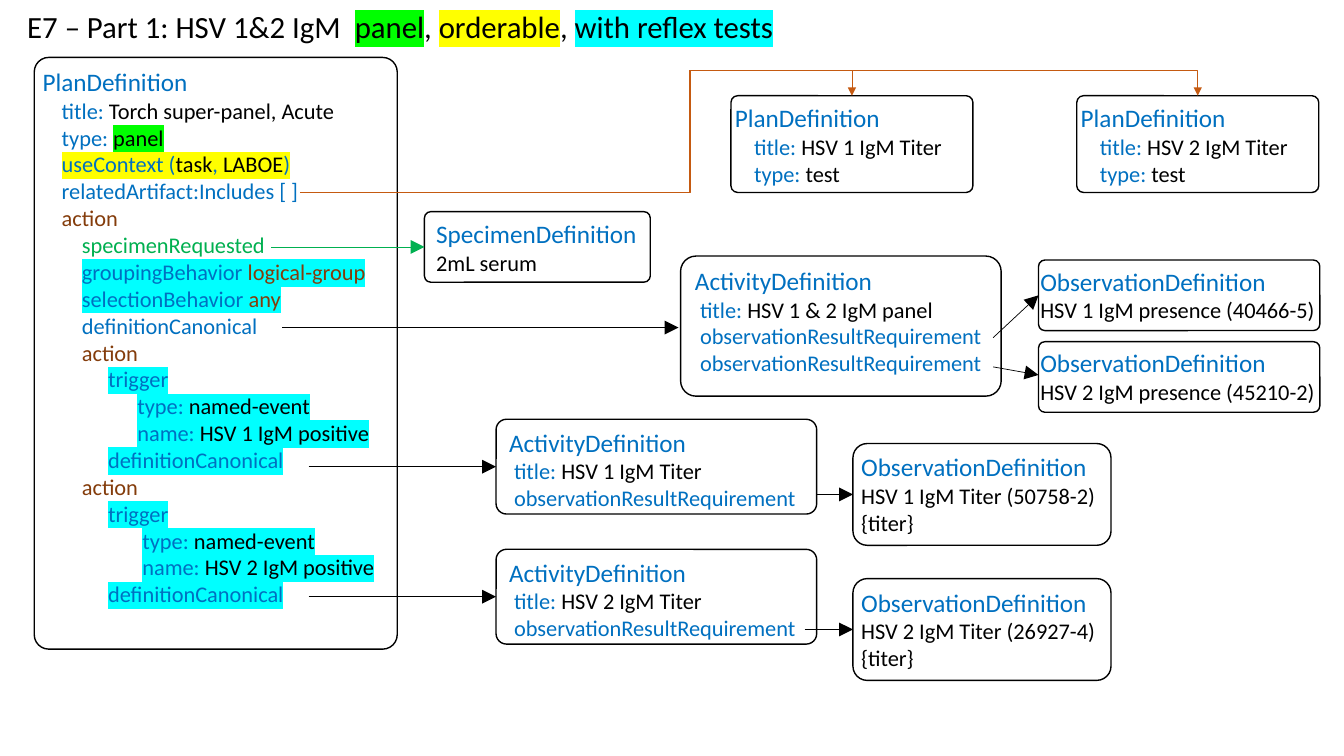
from dataclasses import dataclass
from typing import NamedTuple

from lxml.etree import SubElement
from pptx import Presentation
from pptx.dml.color import RGBColor
from pptx.enum.shapes import MSO_CONNECTOR, MSO_SHAPE
from pptx.enum.text import MSO_ANCHOR, MSO_AUTO_SIZE, PP_ALIGN
from pptx.oxml.ns import qn
from pptx.util import Inches, Pt


@dataclass(frozen=True)
class Theme:
    """Colours, type sizes and line widths of the slide."""
    font: str = "Calibri"
    title: int = 22
    heading: int = 18
    body: int = 16
    ink: str = "000000"
    key: str = "0070C0"
    action: str = "843C0B"
    specimen: str = "00B050"
    include: str = "C55A11"
    panel: str = "00FF00"
    order: str = "FFFF00"
    reflex: str = "00FFFF"
    outline: float = 1
    arrow: float = 0.5


class Box(NamedTuple):
    """A place on the grid, in columns and rows."""
    x: float
    y: float
    w: float
    h: float

    def inner(self, dx, dy, w, h):
        """Return a box placed relative to this one."""
        return Box(self.x + dx, self.y + dy, w, h)


T = Theme()
COLS, ROWS = 133.3, 75


def cells(n):
    """Convert grid cells to a length."""
    return Inches(n / 10)


def add_run(p, text, size=T.body, color=T.ink, mark=None):
    """Add formatted text, with an optional highlight."""
    r = p.add_run()
    r.text = text
    r.font.size = Pt(size)
    r.font.color.rgb = RGBColor.from_string(color)
    r.font.name = T.font
    if mark:
        rPr = r._r.get_or_add_rPr()
        highlight = SubElement(rPr, qn("a:highlight"))
        SubElement(highlight, qn("a:srgbClr"), val=mark)
        rPr.find(qn("a:solidFill")).addnext(highlight)


def field(name, value, indent=0.0, mark=None):
    """Return an indented line with a key and its value."""
    return indent, (name, T.key, mark), (value, T.ink, mark)


def line(text, color=T.key, indent=0.0, mark=None):
    """Return an indented line of one colour."""
    return indent, (text, color, mark)


def add_card(s, box, heading, rows, adj, side=1.0, top=0.5):
    """Draw a rounded card with a heading and lines of text."""
    sp = s.shapes.add_shape(MSO_SHAPE.ROUNDED_RECTANGLE, *map(cells, box))
    sp.adjustments[0] = adj
    sp.shadow.inherit = False
    sp.fill.background()
    sp.line.color.rgb = RGBColor.from_string(T.ink)
    sp.line.width = Pt(T.outline)
    tf = sp.text_frame
    tf.word_wrap = True
    tf.vertical_anchor = MSO_ANCHOR.TOP
    tf.margin_left = tf.margin_right = cells(side)
    tf.margin_top = tf.margin_bottom = cells(top)
    p = tf.paragraphs[0]
    p.alignment = PP_ALIGN.LEFT
    add_run(p, heading, size=T.heading, color=T.key)
    for indent, *runs in rows:
        p = tf.add_paragraph()
        p.alignment = PP_ALIGN.LEFT
        p._p.get_or_add_pPr().set("marL", str(cells(indent)))
        for text, color, mark in runs:
            add_run(p, text, color=color, mark=mark)


def add_arrow(s, start, end, color=T.ink, bend=None, head="lg"):
    """Draw an arrow, bent at a column and a row when asked."""
    kind = MSO_CONNECTOR.ELBOW if bend else MSO_CONNECTOR.STRAIGHT
    cxn = s.shapes.add_connector(kind, *map(cells, (*start, *end)))
    cxn.line.color.rgb = RGBColor.from_string(color)
    cxn.line.width = Pt(T.arrow)
    spPr = cxn._element.spPr
    SubElement(spPr.find(qn("a:ln")), qn("a:tailEnd"), type="triangle", w=head, len=head)
    SubElement(spPr, qn("a:effectLst"))
    if bend:
        geom = spPr.find(qn("a:prstGeom"))
        geom.set("prst", "bentConnector4")
        guides = geom.find(qn("a:avLst"))
        if guides is None:
            guides = SubElement(geom, qn("a:avLst"))
        for i, (a, b, c) in enumerate(zip(start, end, bend), 1):
            share = round((c - a) / (b - a) * 100000)
            SubElement(guides, qn("a:gd"), name=f"adj{i}", fmla=f"val {share}")


def title(s, box):
    """Place the slide title and mark its key words."""
    sp = s.shapes.title
    sp.left, sp.top, sp.width, sp.height = map(cells, box)
    tf = sp.text_frame
    tf.word_wrap = True
    tf.auto_size = MSO_AUTO_SIZE.NONE
    tf.vertical_anchor = MSO_ANCHOR.TOP
    p = tf.paragraphs[0]
    p.alignment = PP_ALIGN.LEFT
    for text, mark in (("E7 – Part 1: HSV 1&2 IgM  ", None), ("panel", T.panel), (", ", None),
                       ("orderable", T.order), (", ", None), ("with reflex tests", T.reflex)):
        add_run(p, text, size=T.title, mark=mark)


def reflex_action(n, indent):
    """Return the lines of the action that a positive result triggers."""
    return [line("action", T.action, 3.9),
            line("trigger", indent=6.5, mark=T.reflex),
            field("type: ", "named-event", indent, T.reflex),
            field("name: ", f"HSV {n} IgM positive", indent, T.reflex),
            line("definitionCanonical", indent=6.5, mark=T.reflex)]


def order_plan(s, box):
    """Draw the plan definition of the whole order."""
    context = [(text, color, T.order) for text, color in (
        ("useContext (", T.key), ("task", T.ink), (", ", T.key), ("LABOE", T.ink), (")", T.key))]
    rows = [field("title: ", "Torch super-panel, Acute", 1.9),
            (1.9, ("type: ", T.key, None), ("panel", T.ink, T.panel)),
            (1.9, *context),
            line("relatedArtifact:Includes [ ]", indent=1.9),
            line("action", T.action, 1.9),
            line("specimenRequested", T.specimen, 3.9)]
    rows += [(3.9, (name, T.key, T.reflex), (value, T.action, T.reflex)) for name, value in (
        ("groupingBehavior ", "logical-group"), ("selectionBehavior ", "any"))]
    rows.append(line("definitionCanonical", indent=3.9))
    rows += reflex_action(1, 9.4) + reflex_action(2, 9.9)
    add_card(s, box, "PlanDefinition", rows, 0.04, side=0.4)


def included_plans(s, box, source):
    """Draw the two included plans and the bent arrows to them."""
    w = 24
    for n, dx in ((1, 0), (2, box.w - w)):
        card = box.inner(dx, 0, w, box.h)
        rows = [field("title: ", f"HSV {n} IgM Titer", 1.9), field("type: ", "test", 1.9)]
        add_card(s, card, "PlanDefinition", rows, 0.07, side=0.2)
        add_arrow(s, (source, box.y + box.h), (card.x + w / 2, box.y), T.include,
                  bend=(box.x - 4.1, box.y - 2.5), head="med")


def specimen(s, box, source):
    """Draw the specimen card and the arrow to it."""
    add_card(s, box, "SpecimenDefinition", [line("2mL serum", T.ink)], 0.09)
    y = box.y + box.h / 2
    add_arrow(s, (source, y), (box.x, y), T.specimen)


def activity(s, box, name, results):
    """Draw an activity card with its result requirements."""
    rows = [field("title: ", name, 0.5)]
    rows += [line("observationResultRequirement", indent=0.5)] * results
    add_card(s, box, "ActivityDefinition", rows, 0.11)


def panel_tests(s, box, source):
    """Draw the panel activity and its two observations."""
    activity(s, box.inner(0, 0, 31.8, 13.9), "HSV 1 & 2 IgM panel", 2)
    add_arrow(s, (source, box.y + 7.1), (box.x - 0.2, box.y + 7.1))
    for n, code, dy, start, end in ((1, "40466-5", 0.4, 8.1, 3.9), (2, "45210-2", 8.5, 11, 11.8)):
        card = box.inner(box.w - 27.9, dy, 27.9, 7)
        rows = [line(f"HSV {n} IgM presence ({code})", T.ink)]
        add_card(s, card, "ObservationDefinition", rows, 0.09, side=0, top=0.4)
        add_arrow(s, (box.x + 31, box.y + start), (card.x, box.y + end))


def titer_test(s, box, source, n, code, reach):
    """Draw a titer activity, its observation and the arrows."""
    activity(s, box.inner(0, 0, 31.8, 9.4), f"HSV {n} IgM Titer", 1)
    add_arrow(s, (source, box.y + 4.7), (box.x, box.y + 4.7))
    card = box.inner(box.w - 25.6, box.h - 10.1, 25.6, 10.1)
    rows = [line(f"HSV {n} IgM Titer ({code})", T.ink), line("{titer}", T.ink)]
    add_card(s, card, "ObservationDefinition", rows, 0.14, side=0.4, top=0.4)
    y = card.y + card.h / 2
    add_arrow(s, (card.x - reach, y), (card.x, y))


def main():
    """Build the slide and save it."""
    prs = Presentation()
    prs.slide_width, prs.slide_height = cells(COLS), cells(ROWS)
    s = prs.slides.add_slide(prs.slide_layouts[5])
    title(s, Box(1.7, 0.3, 88.3, 4.7))
    order_plan(s, Box(3.4, 5.7, 36, 58.7))
    included_plans(s, Box(72.5, 9.5, 58.3, 9.6), 29.8)
    specimen(s, Box(42.1, 21, 22.4, 7), 26.9)
    panel_tests(s, Box(67.5, 25.4, 63.4, 15.5), 28)
    titer_test(s, Box(49.2, 41.6, 61, 12.5), 30.6, 1, "50758-2", 3.6)
    titer_test(s, Box(49.2, 54.5, 61, 13), 30.6, 2, "26927-4", 4.8)
    prs.save("out.pptx")


main()
